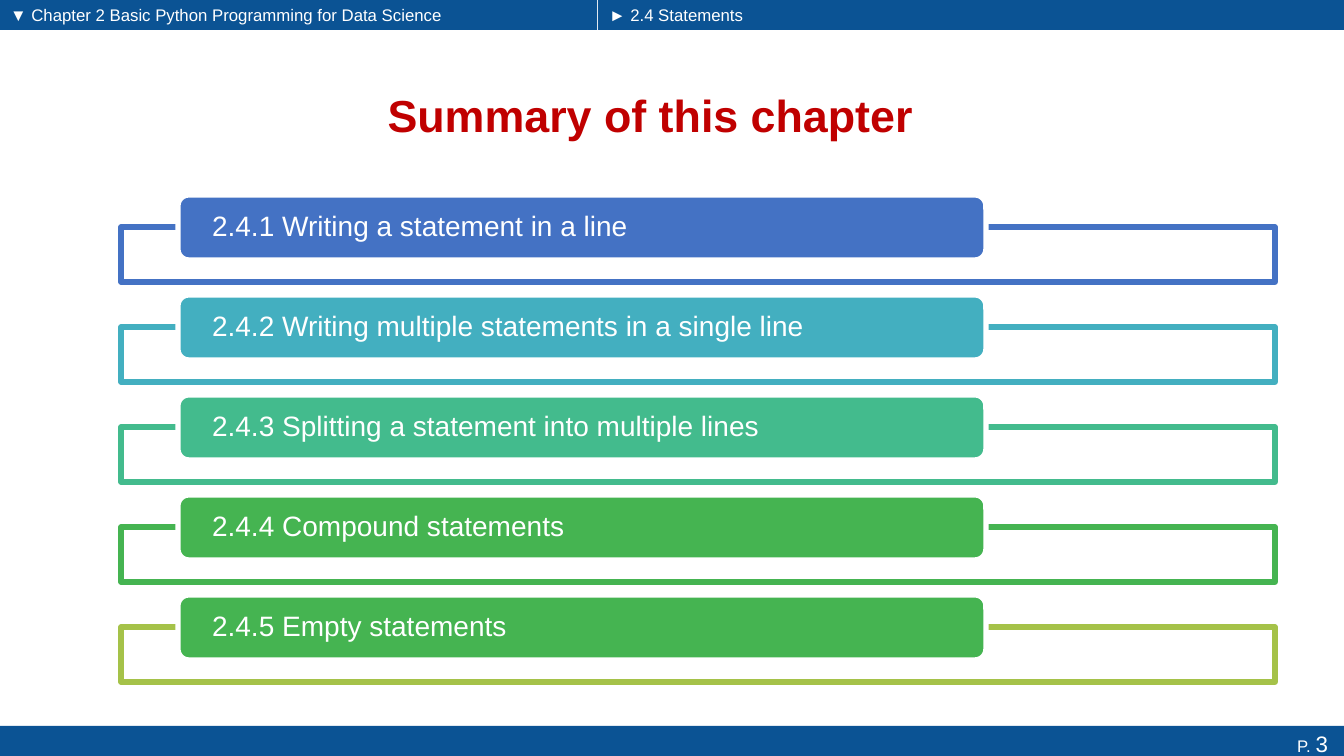
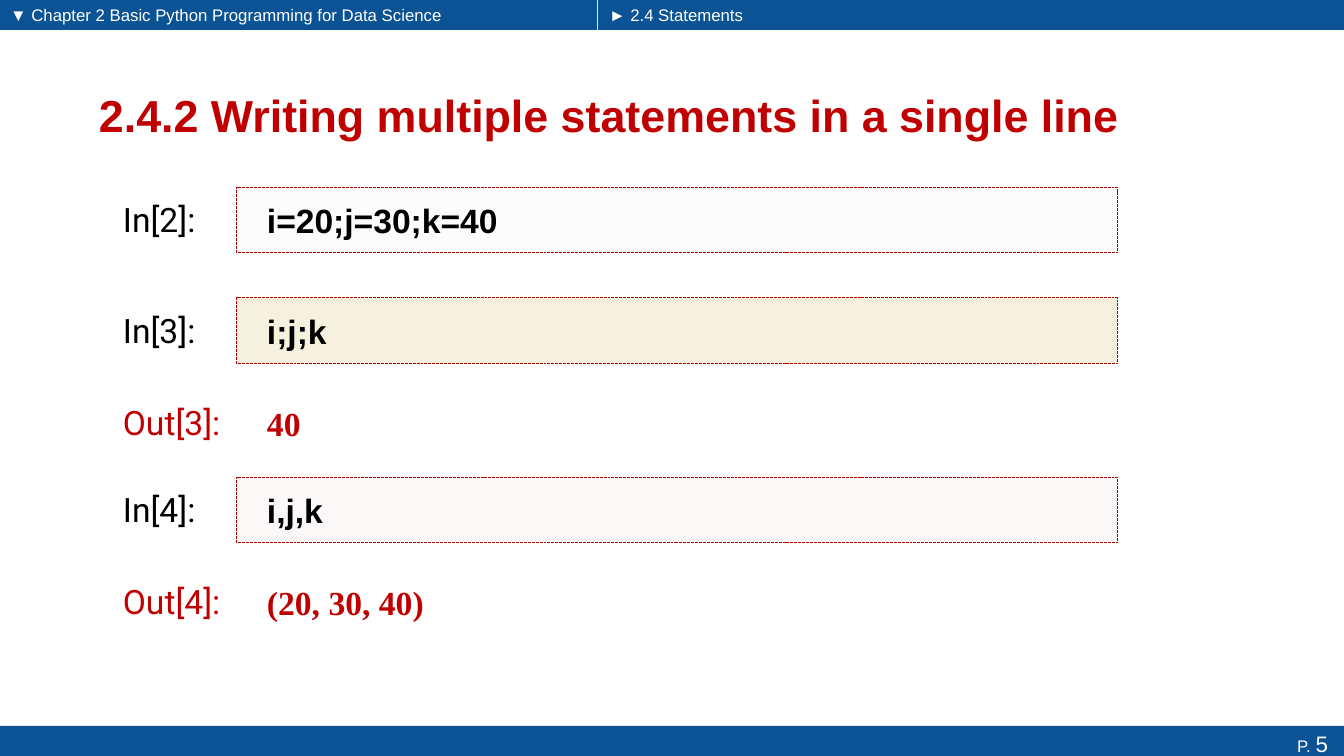
"""Build the chapter summary slide and the multiple-statements slide."""
from lxml.etree import SubElement
from pptx import Presentation
from pptx.dml.color import RGBColor
from pptx.enum.dml import MSO_LINE
from pptx.enum.shapes import MSO_SHAPE as SHAPE
from pptx.enum.text import MSO_ANCHOR as ANCHOR, MSO_AUTO_SIZE as AUTO, PP_ALIGN as ALIGN
from pptx.oxml.ns import qn
from pptx.util import Emu, Pt

PX = 914400 / 100.8
NAVY, RED, WHITE, BLACK = "0B5394", "C00000", "FFFFFF", "000000"
rgb = RGBColor.from_string


def place(sp, left, top, width, height):
    sp.left, sp.top, sp.width, sp.height = [
        Emu(round(v * PX)) for v in (left, top, width, height)]
    return sp


def write(tf, text, size, color, font="Arial", bold=False, align=ALIGN.LEFT):
    tf.word_wrap = True
    tf.auto_size = AUTO.NONE
    p = tf.paragraphs[0]
    p.text = text
    p.alignment = align
    for r in p.runs:
        r.font.size, r.font.name, r.font.bold = Pt(size), font, bold
        r.font.color.rgb = rgb(color)
    return p


prs = Presentation()
prs.slide_width, prs.slide_height = Emu(round(1344 * PX)), Emu(round(756 * PX))

pages = [
    ("Summary of this chapter", 253, 795, "3"),
    ("2.4.2 Writing multiple statements in a single line", 69, 1081, "5"),
]
bands = [(0, 0, 597, 30), (598, 0, 746, 30), (0, 726, 1344, 30)]
headers = [
    ("▼ Chapter 2 Basic Python Programming for Data Science", 0, 487),
    ("► 2.4 Statements", 599, 259),
]

for title, left, width, number in pages:
    s = prs.slides.add_slide(prs.slide_layouts[3])
    for i, box in enumerate(bands):
        sp = place(s.shapes.add_shape(SHAPE.RECTANGLE, 0, 0, 0, 0), *box)
        sp.shadow.inherit = False
        sp.fill.solid()
        sp.fill.fore_color.rgb = rgb(NAVY)
        sp.line.fill.background()
        s.shapes._spTree.insert(2 + i, sp._element)
    tf = sp.text_frame
    tf.vertical_anchor = ANCHOR.TOP
    tf.margin_top, tf.margin_bottom, tf.margin_right = Emu(round(4 * PX)), 0, Emu(round(16 * PX))
    p = write(tf, "P. ", 12, WHITE, align=ALIGN.RIGHT)
    r = p.add_run()
    r.text = number
    r.font.size, r.font.name = Pt(16), "Arial"
    r.font.color.rgb = rgb(WHITE)

    sp = place(s.shapes.title, left, 69, width, 91)
    sp.text_frame.vertical_anchor = ANCHOR.MIDDLE
    write(sp.text_frame, title, 32, RED, bold=True, align=ALIGN.CENTER)

    for idx, (text, left, width) in enumerate(headers, 1):
        sp = place(s.placeholders[idx], left, 0, width, 29)
        sp.text_frame.vertical_anchor = ANCHOR.TOP
        p = write(sp.text_frame, text, 12, WHITE)
        p.space_before = Pt(0)
        pPr = p._p.get_or_add_pPr()
        pPr.set("marL", "0")
        pPr.set("indent", "0")
        SubElement(pPr, qn("a:buNone"))

summary, example = prs.slides

sections = [
    ("2.4.1 Writing a statement in a line", "4472C4", "4472C4"),
    ("2.4.2 Writing multiple statements in a single line", "43AFC0", "43AFC0"),
    ("2.4.3 Splitting a statement into multiple lines", "43BB8D", "43BB8D"),
    ("2.4.4 Compound statements", "45B451", "45B451"),
    ("2.4.5 Empty statements", "45B451", "A5C249"),
]
for i, (text, pill, frame) in enumerate(sections):
    top = 195 + 100 * i
    for kind, box, fill, line in (
            (SHAPE.RECTANGLE, (121, top + 32, 1154, 55), WHITE, frame),
            (SHAPE.ROUNDED_RECTANGLE, (178, top, 808, 65), pill, WHITE)):
        sp = place(summary.shapes.add_shape(kind, 0, 0, 0, 0), *box)
        sp.shadow.inherit = False
        sp.fill.solid()
        sp.fill.fore_color.rgb = rgb(fill)
        sp.line.color.rgb = rgb(line)
        sp.line.width = Pt(3.78)
    tf = sp.text_frame
    tf.vertical_anchor = ANCHOR.MIDDLE
    tf.margin_left = tf.margin_right = Emu(round(31 * PX))
    tf.margin_top = tf.margin_bottom = 0
    write(tf, text, 20, WHITE).line_spacing = 0.9

cells = [
    ("In[2]:", "i=20;j=30;k=40", 187, "F1EEF4"),
    ("In[3]:", "i;j;k", 298, "BF9000"),
    ("Out[3]:", "40", 390, None),
    ("In[4]:", "i,j,k", 477, "EDCDCB"),
    ("Out[4]:", "(20, 30, 40)", 569, None),
]
for label, code, top, tint in cells:
    sp = place(example.shapes.add_textbox(0, 0, 0, 0), 113, top + 7, 124, 50)
    write(sp.text_frame, label, 24, BLACK if tint else RED, "Roboto")

    if tint:
        sp = example.shapes.add_shape(SHAPE.RECTANGLE, 0, 0, 0, 0)
        sp.shadow.inherit = False
        sp.fill.solid()
        sp.fill.fore_color.rgb = rgb(tint)
        clr = sp._element.spPr.find(qn("a:solidFill")).find(qn("a:srgbClr"))
        SubElement(clr, qn("a:alpha")).set("val", "13000")
        sp.line.color.rgb = rgb("AB0000")
        sp.line.width = Pt(0.7)
        sp.line.dash_style = MSO_LINE.SQUARE_DOT
    else:
        sp = example.shapes.add_textbox(0, 0, 0, 0)
    place(sp, 237, top, 881, 66)
    tf = sp.text_frame
    tf.vertical_anchor = ANCHOR.MIDDLE
    tf.margin_left = Emu(round(30 * PX))
    write(tf, code, 24, BLACK if tint else RED,
          "Arial" if tint else "Times New Roman", bold=True)

prs.save("out.pptx")
